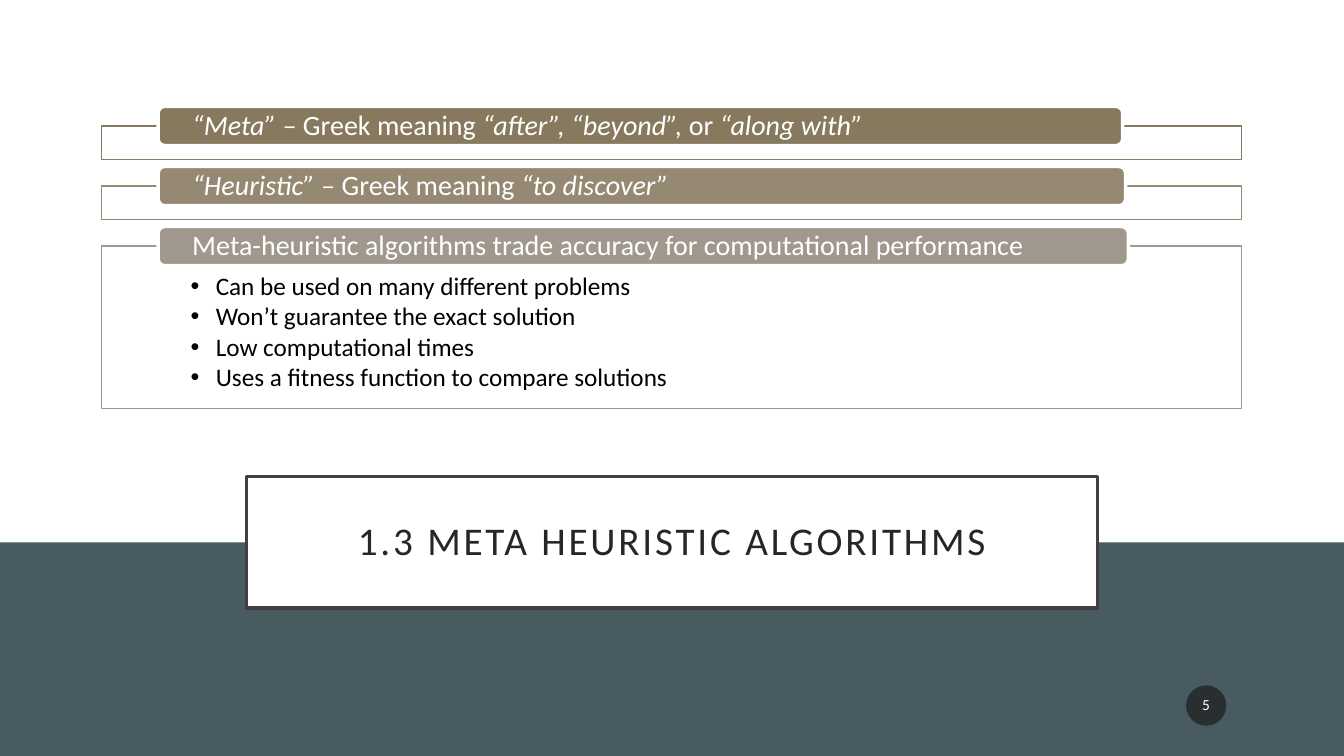
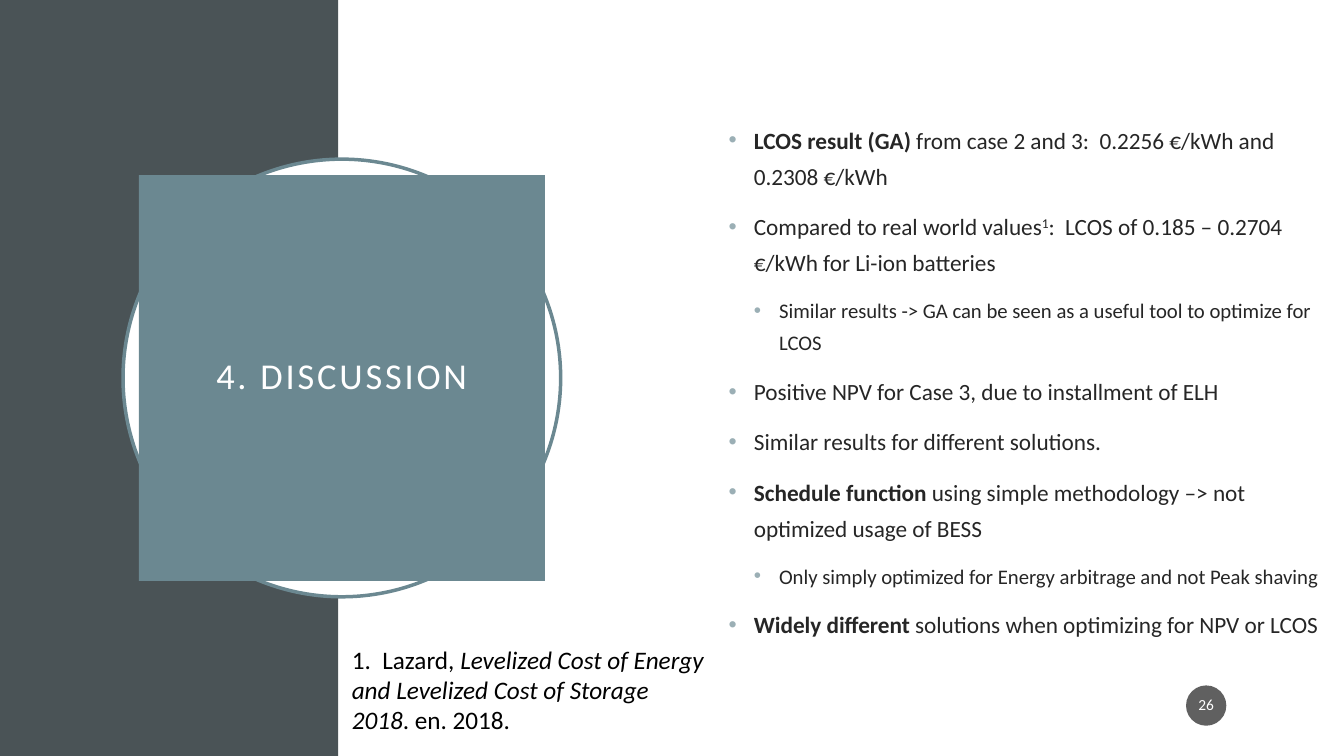
import lxml.etree
import pptx
import pptx.dml.color
import pptx.enum.shapes
import pptx.enum.text
import pptx.oxml.ns
import pptx.util

Pt = pptx.util.Pt
RGBColor = pptx.dml.color.RGBColor
MSO_SHAPE = pptx.enum.shapes.MSO_SHAPE
MIDDLE = pptx.enum.text.MSO_ANCHOR.MIDDLE
TOP = pptx.enum.text.MSO_ANCHOR.TOP
CENTER = pptx.enum.text.PP_ALIGN.CENTER
LEFT = pptx.enum.text.PP_ALIGN.LEFT
qn = pptx.oxml.ns.qn

# Shared look
FONT = "Calibri"
WHITE = RGBColor(0xFF, 0xFF, 0xFF)
BLACK = RGBColor(0x00, 0x00, 0x00)
INK = RGBColor(0x26, 0x26, 0x26)
FRAME = RGBColor(0x40, 0x40, 0x40)
BADGE = RGBColor(0x1D, 0x1D, 0x1D)
SLATE = RGBColor(0x47, 0x5B, 0x61)
CHARCOAL = RGBColor(0x4A, 0x53, 0x56)
TEAL = RGBColor(0x6B, 0x88, 0x91)
BULLET = RGBColor(0x9B, 0xAF, 0xB5)
BROWN = RGBColor(0x87, 0x79, 0x5D)
TAN = RGBColor(0x95, 0x89, 0x73)
TAUPE = RGBColor(0xA0, 0x98, 0x8C)

WIDTH, HEIGHT = 960, 540
INDENT = 18

# Content: a paragraph is a list of (text, style) runs
TERMS = [
    (BROWN, 689, 24, [("“Meta” –", "i"), (" Greek meaning ", ""),
                      ("“after”, “beyond”, ", "i"), ("or ", ""),
                      ("“along with”", "i")], []),
    (TAN, 691, 24, [("“Heuristic” – ", "i"), ("Greek meaning ", ""),
                    ("“to discover”", "i")], []),
    (TAUPE, 693, 116,
     [("Meta-heuristic algorithms trade accuracy for computational performance", "")],
     ["Can be used on many different problems",
      "Won’t guarantee the exact solution",
      "Low computational times",
      "Uses a fitness function to compare solutions"]),
]

# (level, runs)
FINDINGS = [
    (0, [("LCOS result (GA)", "b"),
         (" from case 2 and 3:  0.2256 €/kWh and 0.2308 €/kWh", "")]),
    (0, [("Compared to real world values", ""), ("1", "sup"),
         (":  LCOS of 0.185 – 0.2704 €/kWh for Li-ion batteries", "")]),
    (1, [("Similar results -> GA can be seen as a useful tool to optimize for LCOS", "")]),
    (0, [("Positive NPV for Case 3, due to installment of ELH", "")]),
    (0, [("Similar results for different solutions.", "")]),
    (0, [("Schedule function", "b"),
         (" using simple methodology –> not optimized usage of BESS", "")]),
    (1, [("Only simply optimized for Energy arbitrage and not Peak shaving", "")]),
    (0, [("Widely different ", "b"),
         ("solutions when optimizing for NPV or LCOS", "")]),
]

CITATION = [("1.  Lazard, ", ""),
            ("Levelized Cost of Energy and Levelized Cost of Storage 2018", "i"),
            (". en. 2018.", "")]


def add_box(slide, kind, left, top, width, height, fill, line=None,
            line_width=1, opacity=100):
    box = slide.shapes.add_shape(kind, Pt(left), Pt(top), Pt(width), Pt(height))
    box.shadow.inherit = False
    box.fill.solid()
    box.fill.fore_color.rgb = fill
    if opacity < 100:
        color = box.fill._xPr.find(qn("a:solidFill"))[0]
        lxml.etree.SubElement(color, qn("a:alpha"), val=str(opacity * 1000))
    if line is None:
        box.line.fill.background()
    else:
        box.line.color.rgb = line
        box.line.width = Pt(line_width)
    return box


def set_frame(shape, margins, anchor):
    frame = shape.text_frame
    frame.word_wrap = True
    frame.vertical_anchor = anchor
    (frame.margin_left, frame.margin_top,
     frame.margin_right, frame.margin_bottom) = map(Pt, margins)
    return frame


def add_bullet(paragraph, color, level):
    props = paragraph._p.get_or_add_pPr()
    props.set("marL", str(Pt(INDENT * (level + 1))))
    props.set("indent", str(-Pt(INDENT)))
    tint = lxml.etree.SubElement(props, qn("a:buClr"))
    lxml.etree.SubElement(tint, qn("a:srgbClr"), val=str(color))
    lxml.etree.SubElement(props, qn("a:buFont"), typeface="Arial")
    lxml.etree.SubElement(props, qn("a:buChar"), char="•")


def write(frame, runs, size, color, align=LEFT, spacing=0.9, before=0,
          after=0, bullet=None, level=0):
    """Fill the empty first paragraph, or append another one."""
    first = not frame.text
    paragraph = frame.paragraphs[0] if first else frame.add_paragraph()
    if bullet is not None:
        add_bullet(paragraph, bullet, level)
    paragraph.alignment = align
    paragraph.line_spacing = spacing
    paragraph.space_before = Pt(0 if first else before)
    paragraph.space_after = Pt(after)
    paragraph.font.name = FONT
    paragraph.font.size = Pt(size)
    paragraph.font.color.rgb = color
    for text, style in runs:
        run = paragraph.add_run()
        run.text = text
        if style == "b":
            run.font.bold = True
        elif style == "i":
            run.font.italic = True
        elif style == "sup":
            run.font._element.set("baseline", "30000")
    return paragraph


def add_title(slide, text, center_x, center_y, width, height, size, color,
              fill, line=None):
    title = add_box(slide, MSO_SHAPE.RECTANGLE, center_x - width / 2,
                    center_y - height / 2, width, height, fill, line, 2.5)
    frame = set_frame(title, (14.4,) * 4, MIDDLE)
    paragraph = write(frame, [(text, "")], size, color, CENTER)
    paragraph.runs[0].font._element.set("spc", "200")


def add_page_number(slide, number):
    badge = add_box(slide, MSO_SHAPE.OVAL, 847.2, 489.6, 28.8, 28.8, BADGE, opacity=70)
    frame = set_frame(badge, (1.4, 3.6, 1.4, 3.6), MIDDLE)
    write(frame, [(str(number), "")], 11, WHITE, CENTER)


def add_text(slide, left, top, width, height, anchor=TOP):
    box = slide.shapes.add_textbox(Pt(left), Pt(top), Pt(width), Pt(height))
    return set_frame(box, (7.2, 3.6, 7.2, 3.6), anchor)


def add_term(slide, top, color, label_width, panel_height, heading, points):
    """Outlined panel with a rounded heading over its top edge."""
    panel = add_box(slide, MSO_SHAPE.RECTANGLE, 72.7, top, 814.3, panel_height,
                    WHITE, color, opacity=90)
    if points:
        frame = set_frame(panel, (63.4, 19.4, 63.4, 10), TOP)
        for point in points:
            write(frame, [(point, "")], 18, BLACK, after=2.4, bullet=BLACK)
    label = add_box(slide, MSO_SHAPE.ROUNDED_RECTANGLE, 113, top - 14,
                    label_width, 28, color, WHITE, 2.5)
    write(set_frame(label, (23, 0, 23, 0), MIDDLE), heading, 20, WHITE)


def build_algorithms(slide):
    band_top = 387.4
    add_box(slide, MSO_SHAPE.RECTANGLE, 0, band_top, WIDTH, HEIGHT - band_top, SLATE)
    add_title(slide, "1.3 META HEURISTIC ALGORITHMS", WIDTH / 2, band_top,
              608, 94, 28, INK, WHITE, FRAME)
    add_page_number(slide, 5)
    for index, term in enumerate(TERMS):
        add_term(slide, 90 + 42.9 * index, *term)


def build_discussion(slide):
    center_x, center_y, ring = 244.2, HEIGHT / 2, 312.6
    add_box(slide, MSO_SHAPE.RECTANGLE, 0, 0, 241.6, HEIGHT, CHARCOAL)
    add_box(slide, MSO_SHAPE.OVAL, center_x - ring / 2, center_y - ring / 2,
            ring, ring, WHITE, TEAL, 2.5)
    add_title(slide, "4. DISCUSSION", center_x, center_y, 290, 290, 26, WHITE, TEAL)

    # Findings
    findings = add_text(slide, 513.4, 59, 442, 422, MIDDLE)
    for level, runs in FINDINGS:
        write(findings, runs, (16.6, 14.8)[level], INK, spacing=1.3,
              before=10, bullet=BULLET, level=level)
    add_page_number(slide, 26)

    # Source of the comparison values
    write(add_text(slide, 244.2, 456.5, 270, 72.7), CITATION, 18, BLACK, spacing=1.0)


def main():
    deck = pptx.Presentation()
    deck.slide_width, deck.slide_height = Pt(WIDTH), Pt(HEIGHT)
    for build in (build_algorithms, build_discussion):
        build(deck.slides.add_slide(deck.slide_layouts[6]))
    deck.save("out.pptx")


if __name__ == "__main__":
    main()
